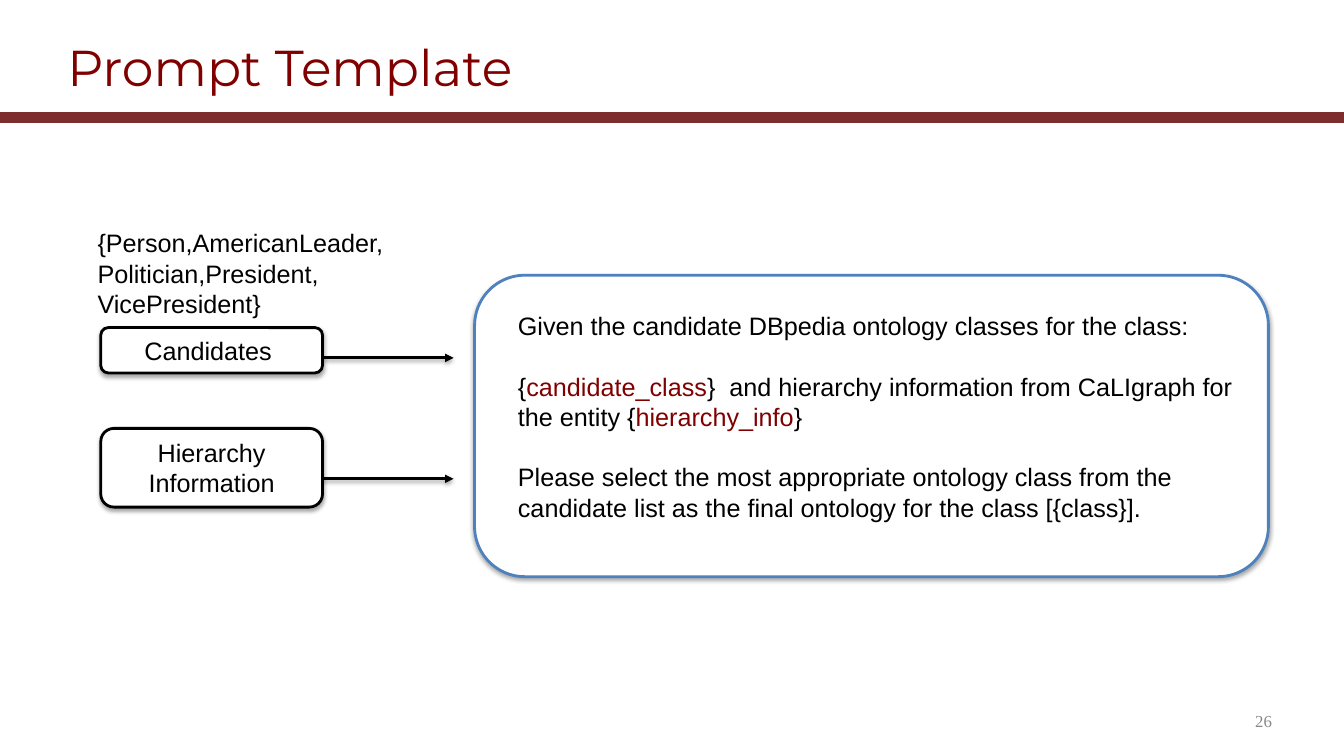
from lxml import etree
from pptx import Presentation
from pptx.dml.color import RGBColor
from pptx.enum.shapes import MSO_CONNECTOR, MSO_SHAPE
from pptx.enum.text import MSO_ANCHOR, PP_ALIGN
from pptx.oxml.ns import qn
from pptx.util import Pt

ROUND = MSO_SHAPE.ROUNDED_RECTANGLE
LINE = MSO_CONNECTOR.STRAIGHT
TOP, MID = MSO_ANCHOR.TOP, MSO_ANCHOR.MIDDLE
LEFT, MIDDLE, RIGHT = PP_ALIGN.LEFT, PP_ALIGN.CENTER, PP_ALIGN.RIGHT
COLORS = {"black": "000000", "white": "FFFFFF", "maroon": "800000",
          "rule": "7D2D2D", "blue": "4F81BD", "gray": "888888"}


def rgb(name):
    """Return the named colour."""
    return RGBColor.from_string(COLORS[name])


def add_shade(shape):
    """Give a shape or connector a soft shadow below it."""
    effects = etree.SubElement(shape._element.spPr, qn("a:effectLst"))
    outer = etree.SubElement(effects, qn("a:outerShdw"), blurRad=str(Pt(3)),
                             dist=str(Pt(1.8)), dir="5400000", rotWithShape="0")
    color = etree.SubElement(outer, qn("a:srgbClr"), val=COLORS["black"])
    etree.SubElement(color, qn("a:alpha"), val="35000")


def write(shape, paras, size=18, font="Arial", color="black", align=LEFT,
          anchor=TOP, inset=None, gap=0, wrap=True):
    """Fill a shape with paragraphs, each a list of (text, colour) runs."""
    frame = shape.text_frame
    frame.word_wrap = wrap
    frame.vertical_anchor = anchor
    if inset is not None:
        frame.margin_left = frame.margin_right = Pt(inset)
        frame.margin_top = frame.margin_bottom = Pt(inset)
    for i, runs in enumerate(paras):
        para = frame.add_paragraph() if i else frame.paragraphs[0]
        para.alignment = align
        para.space_before = Pt(gap if i else 0)
        para.font.size, para.font.name = Pt(size), font
        para.font.color.rgb = rgb(color)
        for text, tint in runs:
            run = para.add_run()
            run.text = text
            run.font.size, run.font.name = Pt(size), font
            run.font.color.rgb = rgb(tint or color)


def add_text(slide, box, paras, **style):
    """Add a text box."""
    write(slide.shapes.add_textbox(*map(Pt, box)), paras, **style)


def add_box(slide, box, edge, text=None):
    """Add a white rounded box with a shadow and an optional label."""
    shape = slide.shapes.add_shape(ROUND, *map(Pt, box))
    shape.fill.solid()
    shape.fill.fore_color.rgb = rgb("white")
    shape.line.color.rgb = rgb(edge)
    shape.line.width = Pt(2)
    add_shade(shape)
    if text:
        write(shape, [[(text, None)]], align=MIDDLE, anchor=MID, inset=3.6)


def add_line(slide, left, right, y, color, width, arrow=False):
    """Add a level line, plain or as a shaded arrow."""
    line = slide.shapes.add_connector(LINE, Pt(left), Pt(y), Pt(right), Pt(y))
    line.line.color.rgb = rgb(color)
    line.line.width = Pt(width)
    if arrow:
        etree.SubElement(line.line._get_or_add_ln(), qn("a:tailEnd"), type="triangle")
        add_shade(line)
    else:
        etree.SubElement(line._element.spPr, qn("a:effectLst"))


def main():
    """Build the slide and save it."""
    deck = Presentation()
    deck.slide_width, deck.slide_height = Pt(960), Pt(540)
    slide = deck.slides.add_slide(deck.slide_layouts[6])

    add_line(slide, 0, 960, 84.2, "rule", 8)
    add_text(slide, (44.6, 16.6, 870, 62), [[("Prompt Template", None)]], size=36,
             font="Montserrat", color="maroon", anchor=MID, inset=3.6)

    add_box(slide, (339, 196.6, 567, 215.3), "blue")
    prompt = [
        [("Given the candidate DBpedia ontology classes for the class:", None)],
        [("{", None), ("candidate_class", "maroon"),
         ("}  and hierarchy information from CaLIgraph for the entity {", None),
         ("hierarchy_info", "maroon"), ("}", None)],
        [("Please select the most appropriate ontology class from the candidate "
          "list as the final ontology for the class [{class}].", None)],
    ]
    add_text(slide, (362.9, 218.2, 532, 160), prompt, gap=21.6)

    inputs = [("Candidates ", 234, 32.4, 255.6),
              ("Hierarchy Information", 306, 56.2, 342)]
    for text, top, height, y in inputs:
        add_line(slide, 230.4, 324, y, "black", 2, arrow=True)
        add_box(slide, (72, top, 158.4, height), "black", text)

    names = "{Person,AmericanLeader, Politician,President, VicePresident}"
    add_text(slide, (62.6, 159.1, 237.6, 72.7), [[(names, None)]])
    add_text(slide, (890.6, 504, 21.6, 21.6), [[("26", None)]], size=12,
             font="Times New Roman", color="gray", align=RIGHT, anchor=MID,
             inset=3.6, wrap=False)
    deck.save("out.pptx")


if __name__ == "__main__":
    main()
